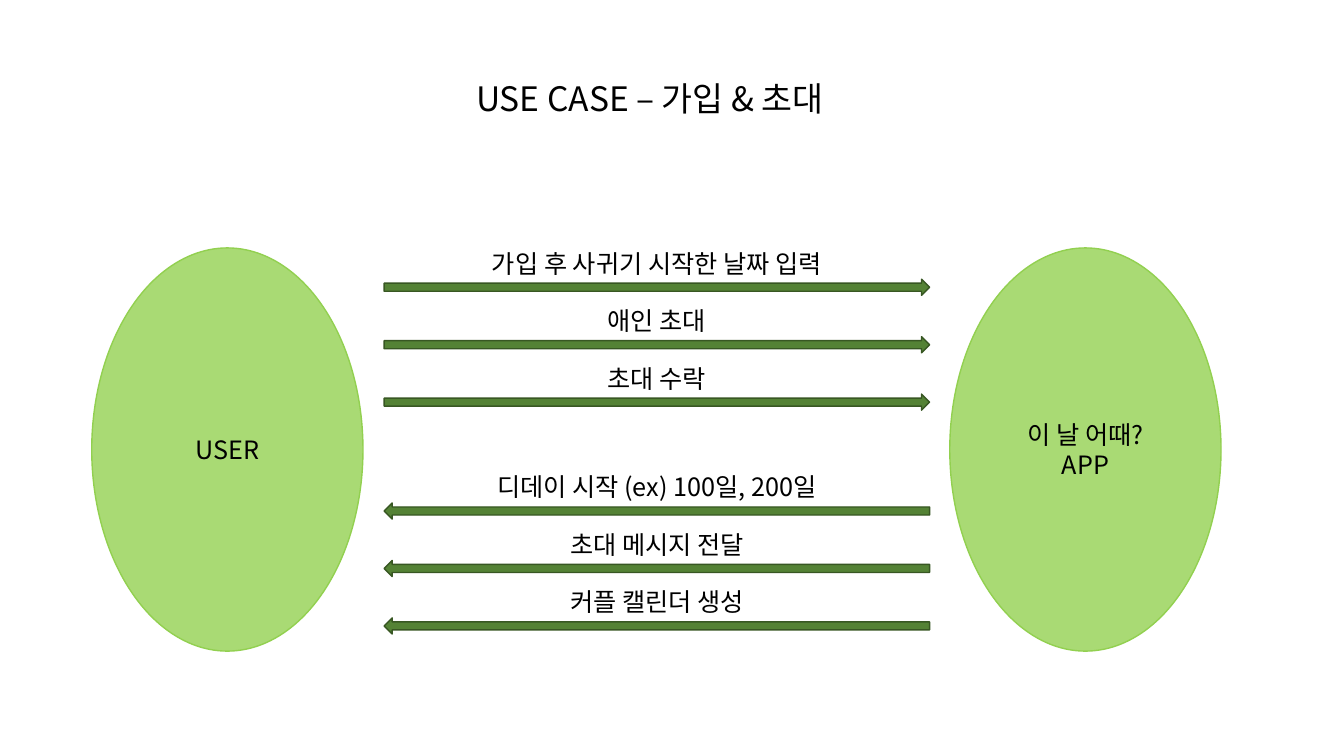
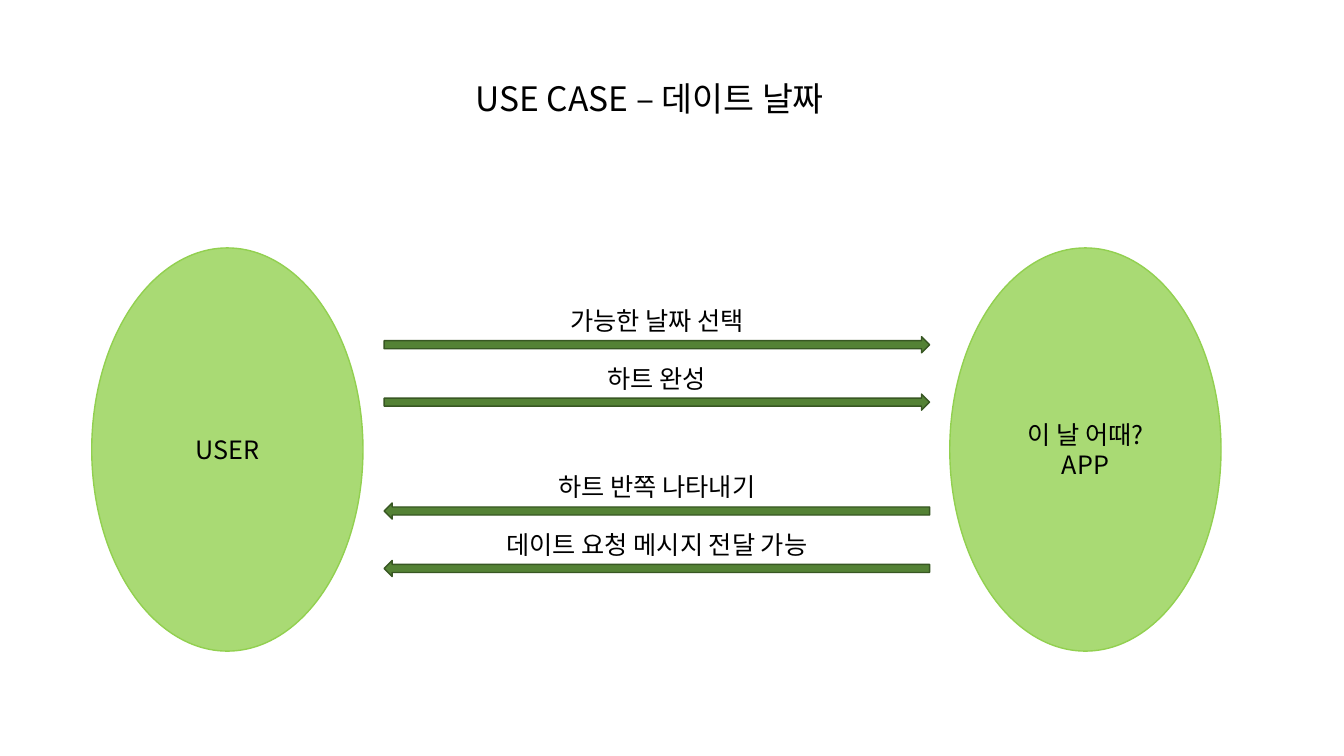
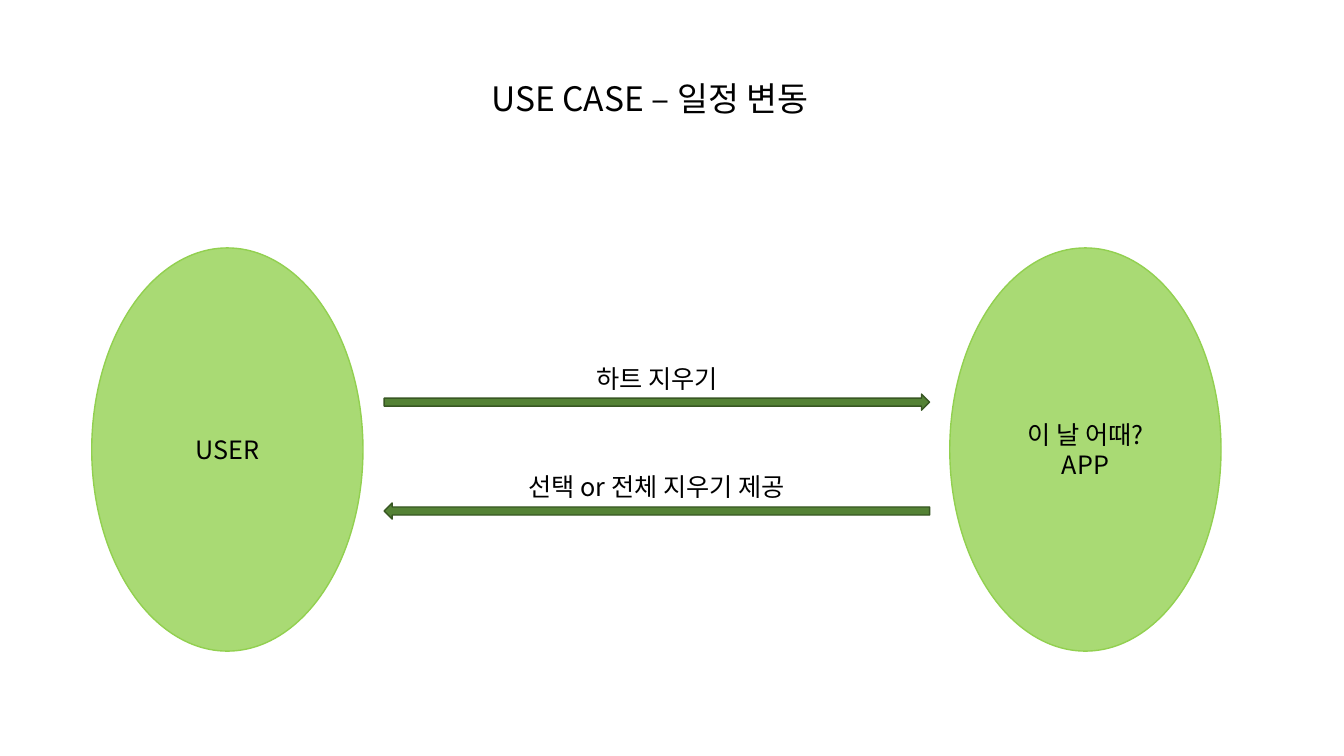
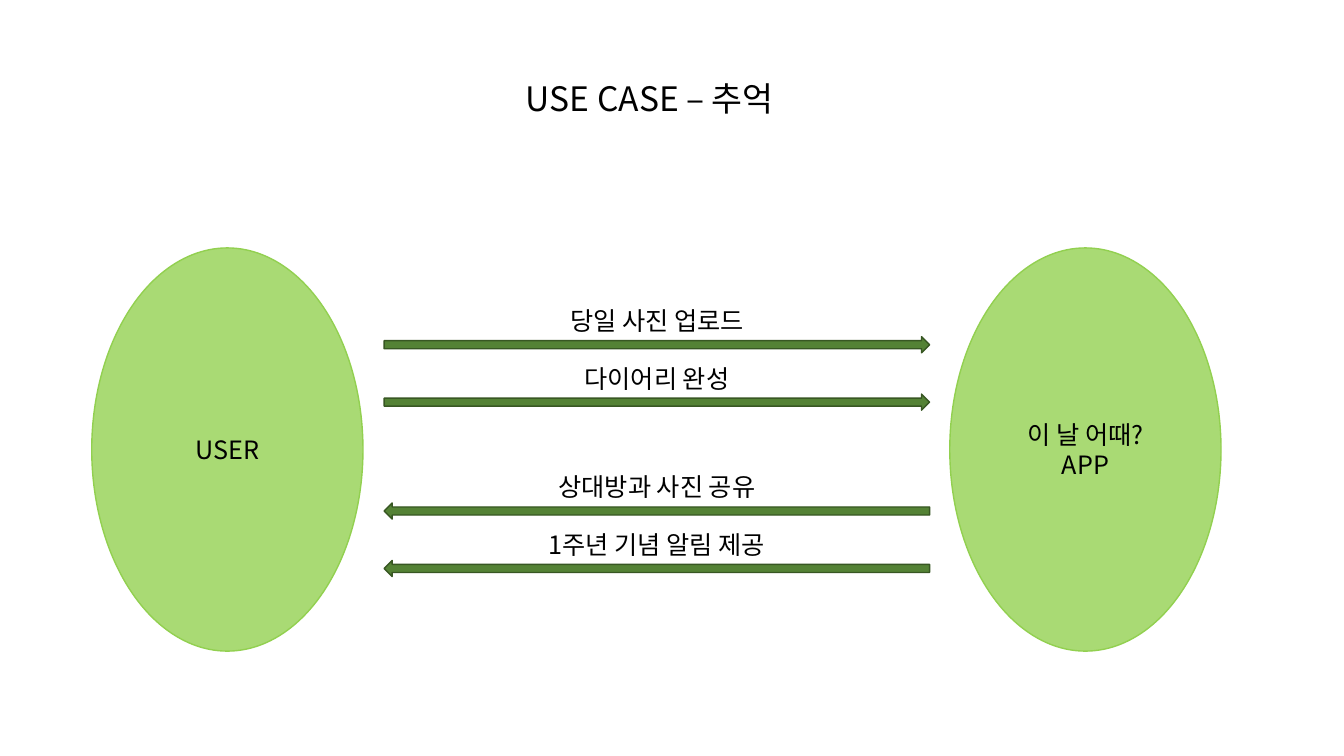
from dataclasses import dataclass

from lxml import etree
from pptx import Presentation
from pptx.dml.color import RGBColor
from pptx.enum.shapes import MSO_SHAPE
from pptx.enum.text import MSO_ANCHOR, MSO_AUTO_SIZE, PP_ALIGN
from pptx.oxml.ns import qn
from pptx.util import Inches, Pt

ELLIPSE, RECTANGLE = MSO_SHAPE.OVAL, MSO_SHAPE.RECTANGLE
RIGHT_ARROW, LEFT_ARROW = MSO_SHAPE.RIGHT_ARROW, MSO_SHAPE.LEFT_ARROW
TOP, MIDDLE = MSO_ANCHOR.TOP, MSO_ANCHOR.MIDDLE
GROW = MSO_AUTO_SIZE.SHAPE_TO_FIT_TEXT
CENTER = PP_ALIGN.CENTER
TITLE_ONLY = 5

# Content: requests go from user to app, replies come back
ACTORS = ["USER"], ["이 날 어때?", "APP"]
USE_CASES = [
    {
        "title": "USE CASE – 가입 & 초대",
        "requests": ["가입 후 사귀기 시작한 날짜 입력", "애인 초대", "초대 수락"],
        "replies": ["디데이 시작 (ex) 100일, 200일", "초대 메시지 전달", "커플 캘린더 생성"],
    },
    {
        "title": "USE CASE – 데이트 날짜",
        "requests": ["가능한 날짜 선택", "하트 완성"],
        "replies": ["하트 반쪽 나타내기", "데이트 요청 메시지 전달 가능"],
    },
    {
        "title": "USE CASE – 일정 변동",
        "requests": ["하트 지우기"],
        "replies": ["선택 or 전체 지우기 제공"],
    },
    {
        "title": "USE CASE – 추억",
        "requests": ["당일 사진 업로드", "다이어리 완성"],
        "replies": ["상대방과 사진 공유", "1주년 기념 알림 제공"],
    },
]


@dataclass(frozen=True)
class Theme:
    font: str = "Noto Sans CJK KR"
    title_size: int = 24
    text_size: int = 18
    text: str = "000000"
    # Fill and line colours
    actor: tuple = ("A9DA74", "92D050")
    arrow: tuple = ("548235", "385723")
    label: tuple = ("FFFFFF", "FFFFFF")
    line_width: int = 1


THEME = Theme()

# Layout in inches
SLIDE_SIZE = 13.33, 7.5
TITLE_BOX = 4.35, 0.72, 4.39, 0.5
TITLE_RIGHT_INSET = 0.3
ACTOR_LEFTS = 0.91, 9.42
ACTOR_TOP, ACTOR_WIDTH, ACTOR_HEIGHT = 2.46, 2.69, 4
ARROW_LEFT, ARROW_WIDTH, ARROW_HEIGHT = 3.81, 5.41, 0.16
LABEL_WIDTH, LABEL_HEIGHT = 4.2, 0.32
LABEL_LEFT = ARROW_LEFT + (ARROW_WIDTH - LABEL_WIDTH) / 2
LAST_REQUEST_TOP, FIRST_REPLY_TOP, ROW_PITCH = 3.91, 4.99, 0.57


def write_lines(shape, lines, size, **frame_format):
    """Fill a shape with centred paragraphs in the theme font."""
    frame = shape.text_frame
    for name, value in {"word_wrap": True, **frame_format}.items():
        setattr(frame, name, value)
    for index, line in enumerate(lines):
        paragraph = frame.add_paragraph() if index else frame.paragraphs[0]
        paragraph.alignment = CENTER
        run = paragraph.add_run()
        run.text = line
        run.font.name = THEME.font
        run.font.size = Pt(size)
        run.font.color.rgb = RGBColor.from_string(THEME.text)
        # Korean letters take the East Asian typeface
        east_asian = etree.SubElement(run.font._element, qn("a:ea"))
        east_asian.set("typeface", THEME.font)


def add_box(shapes, kind, box, colors, lines=()):
    shape = shapes.add_shape(kind, *map(Inches, box))
    shape.shadow.inherit = False
    fill, line = map(RGBColor.from_string, colors)
    shape.fill.solid()
    shape.fill.fore_color.rgb = fill
    shape.line.color.rgb = line
    shape.line.width = Pt(THEME.line_width)
    write_lines(shape, lines, THEME.text_size, vertical_anchor=MIDDLE)


def add_title(slide, text):
    title = slide.shapes.title
    names = "left", "top", "width", "height"
    for name, value in zip(names, TITLE_BOX):
        setattr(title, name, Inches(value))
    write_lines(title, [text], THEME.title_size, vertical_anchor=TOP,
                auto_size=GROW, margin_right=Inches(TITLE_RIGHT_INSET))


def add_messages(slide, messages, first_top, arrow_kind):
    """Stack labelled arrows downwards, each grouped with its label."""
    for row, message in enumerate(messages):
        top = first_top + row * ROW_PITCH
        shapes = slide.shapes.add_group_shape().shapes
        add_box(shapes, arrow_kind,
                (ARROW_LEFT, top, ARROW_WIDTH, ARROW_HEIGHT), THEME.arrow)
        add_box(shapes, RECTANGLE,
                (LABEL_LEFT, top - LABEL_HEIGHT, LABEL_WIDTH, LABEL_HEIGHT),
                THEME.label, [message])


def add_use_case(presentation, use_case):
    slide = presentation.slides.add_slide(presentation.slide_layouts[TITLE_ONLY])
    add_title(slide, use_case["title"])
    for left, lines in zip(ACTOR_LEFTS, ACTORS):
        add_box(slide.shapes, ELLIPSE,
                (left, ACTOR_TOP, ACTOR_WIDTH, ACTOR_HEIGHT), THEME.actor, lines)
    # Requests end, and replies start, at fixed heights
    requests = use_case["requests"]
    first_request_top = LAST_REQUEST_TOP - (len(requests) - 1) * ROW_PITCH
    add_messages(slide, requests, first_request_top, RIGHT_ARROW)
    add_messages(slide, use_case["replies"], FIRST_REPLY_TOP, LEFT_ARROW)


def main():
    presentation = Presentation()
    presentation.slide_width, presentation.slide_height = map(Inches, SLIDE_SIZE)
    for use_case in USE_CASES:
        add_use_case(presentation, use_case)
    presentation.save("out.pptx")


if __name__ == "__main__":
    main()
